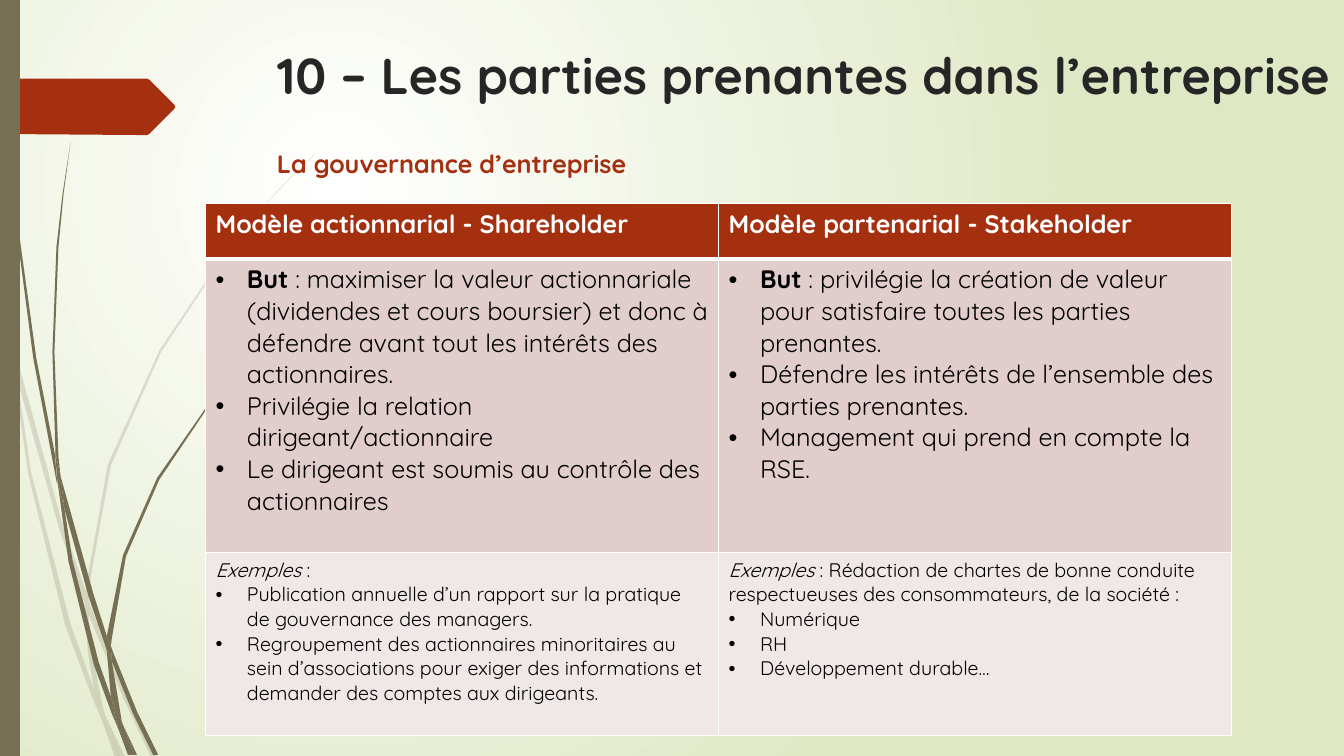
from lxml import etree
from pptx import Presentation
from pptx.dml.color import RGBColor
from pptx.enum.shapes import MSO_SHAPE
from pptx.enum.text import MSO_ANCHOR, PP_ALIGN
from pptx.oxml import parse_xml
from pptx.oxml.ns import nsdecls, qn
from pptx.util import Cm, Pt

COLORS = {
    "white": "FFFFFF", "green": "DFE8C4", "olive": "766F54", "rust": "A53010",
    "title": "262626", "black": "000000", "rose": "E1CDCC", "pale": "F0E8E7",
}
FONT = "Quicksand"
GRID = Cm(0.0254)

PALE_BLADES = [
    [(11, 350), (9, 322), (0, 282), (0, 299), (10, 344)],
    [(58, 522), (84, 599), (85, 586), (62, 520), (14, 345), (17, 376)],
    [(92, 607), (88, 596), (88, 610), (123, 694), (150, 751), (155, 751), (127, 692)],
    [(119, 751), (124, 751), (105, 711)],
    [(93, 683), (70, 619), (31, 469), (17, 376), (11, 350), (28, 470), (65, 621),
     (92, 693), (101, 714), (99, 707)],
    [(84, 599), (87, 646), (93, 683), (96, 692), (105, 711), (103, 706), (91, 646),
     (88, 610), (88, 608)],
    [(88, 584), (110, 462), (160, 349), (229, 245), (268, 198), (290, 175), (312, 154),
     (312, 153), (289, 175), (268, 197), (228, 244), (158, 348), (107, 461), (85, 584),
     (85, 586), (88, 596)],
    [(101, 714), (114, 751), (119, 751)],
    [(88, 608), (88, 610), (88, 596), (85, 586), (84, 599)],
    [(96, 692), (93, 683), (99, 707), (101, 714), (119, 751), (105, 711)],
]
DARK_BLADES = [
    [(7, 110), (17, 233), (33, 355), (56, 477), (57, 481), (55, 457), (55, 453), (36, 355),
     (19, 232), (8, 109), (5, 48), (4, 0), (3, 0), (4, 48)],
    [(88, 592), (106, 645), (106, 633), (106, 631), (93, 590), (60, 472), (64, 505)],
    [(113, 649), (110, 641), (111, 656), (132, 708), (152, 749), (157, 749), (136, 706)],
    [(110, 691), (98, 657), (72, 556), (64, 505), (57, 477), (68, 557), (93, 659),
     (111, 708), (117, 722), (116, 717)],
    [(60, 472), (58, 453), (54, 349), (58, 245), (63, 193), (70, 141), (62, 193),
     (56, 245), (52, 349), (55, 449)],
    [(133, 749), (136, 749), (122, 719)],
    [(57, 477), (64, 505), (60, 472), (55, 449), (55, 453)],
    [(111, 633), (125, 552), (158, 476), (205, 406), (231, 374), (245, 359), (261, 344),
     (260, 344), (245, 358), (231, 373), (204, 405), (156, 474), (122, 551), (106, 631),
     (110, 641)],
    [(117, 722), (127, 749), (131, 749)],
    [(106, 645), (110, 691), (116, 706), (122, 719), (121, 716), (111, 656), (109, 651)],
    [(106, 645), (109, 651), (111, 656), (110, 641), (106, 631), (106, 633)],
    [(116, 706), (110, 691), (116, 717), (117, 722), (130, 749), (133, 749), (122, 719)],
]
ARROW = [(173, 108), (148, 133), (146, 134), (136, 134), (0, 133), (0, 78), (136, 78),
         (146, 78), (148, 79), (173, 104), (174, 106)]

HEADER = [[("Modèle actionnarial - Shareholder", "", False)],
          [("Modèle partenarial - Stakeholder", "", False)]]
GOALS = [
    [("But", " : maximiser la valeur actionnariale (dividendes et cours boursier) et donc à "
             "défendre avant tout les intérêts des actionnaires.", True),
     ("", "Privilégie la relation dirigeant/actionnaire", True),
     ("", "Le dirigeant est soumis au contrôle des actionnaires", True)],
    [("But", " : privilégie la création de valeur pour satisfaire toutes les parties "
             "prenantes.", True),
     ("", "Défendre les intérêts de l’ensemble des parties prenantes.", True),
     ("", "Management qui prend en compte la RSE.", True)],
]
EXAMPLES = [
    [("Exemples", " :", False),
     ("", "Publication annuelle d’un rapport sur la pratique de gouvernance des managers.", True),
     ("", "Regroupement des actionnaires minoritaires au sein d’associations pour exiger des "
          "informations et demander des comptes aux dirigeants.", True)],
    [("Exemples", " : Rédaction de chartes de bonne conduite respectueuses des "
                  "consommateurs, de la société :", False),
     ("", "Numérique", True),
     ("", "RH", True),
     ("", "Développement durable…", True)],
]
ROWS = [
    (1.39, "rust", "white", 18, {"bold": True}, HEADER),
    (7.41, "rose", "black", 18, {"bold": True}, GOALS),
    (4.6, "pale", "black", 14, {"italic": True}, EXAMPLES),
]


def add_run(p, text, size, color, **formats):
    r = p.add_run()
    r.text = text
    values = {"name": FONT, "size": Pt(size), "bold": False, "italic": False} | formats
    for key, value in values.items():
        setattr(r.font, key, value)
    r.font.color.rgb = RGBColor.from_string(COLORS[color])


def paint(sp, color):
    sp.shadow.inherit = False
    sp.fill.solid()
    sp.fill.fore_color.rgb = RGBColor.from_string(COLORS[color])
    sp.line.fill.background()


prs = Presentation()
prs.slide_width, prs.slide_height = Cm(33.87), Cm(19.05)
s = prs.slides.add_slide(prs.slide_layouts[5])

bg = s.background.fill
bg.gradient()
for stop, color, position in zip(bg.gradient_stops, ("white", "green"), (0, 1)):
    stop.color.rgb = RGBColor.from_string(COLORS[color])
    stop.position = position
grad = s.background._cSld.find(".//" + qn("a:gradFill"))
lin = grad.find(qn("a:lin"))
grad.replace(lin, parse_xml(
    f'<a:path {nsdecls("a")} path="circle">'
    '<a:fillToRect l="50000" t="50000" r="100000" b="100000"/></a:path>'))

outlines = [(points, "olive", 20) for points in PALE_BLADES]
outlines += [(points, "olive", 100) for points in DARK_BLADES]
outlines.append((ARROW, "rust", 100))
for points, color, opacity in outlines:
    builder = s.shapes.build_freeform(*points[0], scale=GRID)
    builder.add_line_segments(points[1:], close=True)
    sp = builder.convert_to_shape()
    paint(sp, color)
    if opacity < 100:
        rgb = sp._element.spPr.find(qn("a:solidFill")).find(qn("a:srgbClr"))
        etree.SubElement(rgb, qn("a:alpha"), val=str(opacity * 1000))

paint(s.shapes.add_shape(MSO_SHAPE.RECTANGLE, 0, 0, Cm(0.5), prs.slide_height), "olive")

title = s.shapes.title
title.left, title.top, title.width, title.height = Cm(6.73), Cm(0.99), Cm(27.13), Cm(3.56)
subtitle = s.shapes.add_textbox(Cm(6.73), Cm(3.61), Cm(24.77), Cm(14.99))
for sp, text, size, color in [
    (title, "10 – Les parties prenantes dans l’entreprise", 36, "title"),
    (subtitle, "La gouvernance d’entreprise", 18, "rust"),
]:
    tf = sp.text_frame
    tf.word_wrap = True
    tf.vertical_anchor = MSO_ANCHOR.TOP
    p = tf.paragraphs[0]
    p.alignment = PP_ALIGN.LEFT
    add_run(p, text, size, color, bold=True)

height = sum(row[0] for row in ROWS)
table = s.shapes.add_table(3, 2, Cm(5.18), Cm(5.13), Cm(25.86), Cm(height)).table
table.horz_banding = False
for i, (row_height, fill, color, size, lead_format, cells) in enumerate(ROWS):
    table.rows[i].height = Cm(row_height)
    for j, paragraphs in enumerate(cells):
        cell = table.cell(i, j)
        cell.fill.solid()
        cell.fill.fore_color.rgb = RGBColor.from_string(COLORS[fill])
        tcPr = cell._tc.get_or_add_tcPr()
        for k, side in enumerate(("lnL", "lnR", "lnT", "lnB")):
            thick = (i, side) in ((0, "lnB"), (1, "lnT"))
            tcPr.insert(k, parse_xml(
                f'<a:{side} {nsdecls("a")} w="{Pt(3 if thick else 1)}"><a:solidFill>'
                f'<a:srgbClr val="{COLORS["white"]}"/></a:solidFill></a:{side}>'))
        tf = cell.text_frame
        for n, (lead, text, bulleted) in enumerate(paragraphs):
            p = tf.add_paragraph() if n else tf.paragraphs[0]
            if bulleted:
                pPr = p._p.get_or_add_pPr()
                pPr.set("marL", str(Cm(0.79)))
                pPr.set("indent", str(-Cm(0.79)))
                etree.SubElement(pPr, qn("a:buFont"), typeface="Arial")
                etree.SubElement(pPr, qn("a:buChar"), char="•")
            if lead:
                add_run(p, lead, size, color, **lead_format)
            if text:
                add_run(p, text, size, color)

prs.save("out.pptx")
